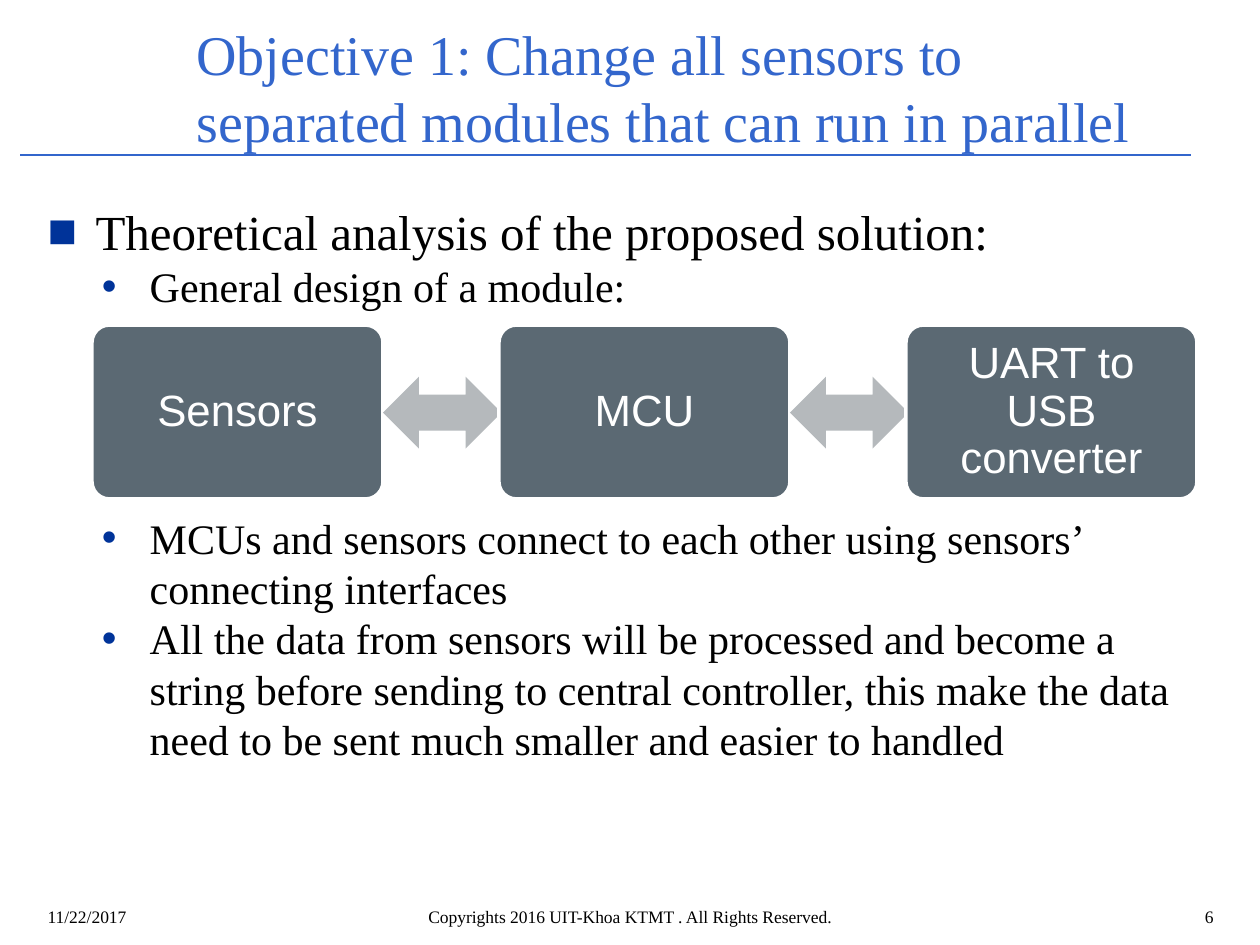
import dataclasses

import pptx
import pptx.dml.color
import pptx.enum.shapes
import pptx.enum.text
import pptx.oxml
import pptx.oxml.ns
import pptx.util

Inches = pptx.util.Inches
Pt = pptx.util.Pt
ALIGN = pptx.enum.text.PP_ALIGN
ANCHOR = pptx.enum.text.MSO_ANCHOR
SHAPE = pptx.enum.shapes.MSO_SHAPE

SERIF, SANS = "Times New Roman", "Arial"
BLUE, NAVY, BLACK, WHITE = "3366CC", "003399", "000000", "FFFFFF"
SLATE, GRAY = "5B6973", "B5B9BC"


@dataclasses.dataclass
class Bullet:
    text: str
    size: int
    char: str
    indent: float
    level: int = 0
    before: float = 0


@dataclasses.dataclass
class Footer:
    text: str
    left: float
    width: float
    align: ALIGN


BULLETS = [
    Bullet("Theoretical analysis of the proposed solution:", 28, "■", 0.38),
    Bullet("General design of a module:", 24, "•", 0.81, 1),
    Bullet("MCUs and sensors connect to each other using sensors’ "
           "connecting interfaces", 24, "•", 0.81, 1, before=115),
    Bullet("All the data from sensors will be processed and become a string "
           "before sending to central controller, this make the data need to "
           "be sent much smaller and easier to handled", 24, "•", 0.81, 1),
]
FOOTERS = [
    Footer("11/22/2017", 0.28, 2.33, ALIGN.LEFT),
    Footer("Copyrights 2016 UIT-Khoa KTMT . All Rights Reserved.",
           1.93, 6.14, ALIGN.CENTER),
    Footer("6", 7.81, 1.92, ALIGN.RIGHT),
]
MODULES = ["Sensors", "MCU", "UART to USB converter"]


def rgb(value: str) -> pptx.dml.color.RGBColor:
    return pptx.dml.color.RGBColor.from_string(value)


def apply(target, values: dict) -> None:
    for name, value in values.items():
        setattr(target, name, value)


def add_run(p, text: str, size: float, font: str, color: str) -> None:
    r = p.add_run()
    r.text = text
    apply(r.font, {"size": Pt(size), "name": font})
    r.font.color.rgb = rgb(color)


def add_textbox(s, left: float, top: float, width: float, height: float):
    sp = s.shapes.add_textbox(*map(Inches, (left, top, width, height)))
    sp.text_frame.word_wrap = True
    return sp.text_frame


def set_bullet(p, b: Bullet) -> None:
    pPr = p._p.get_or_add_pPr()
    pPr.set("marL", str(Inches(b.indent)))
    pPr.set("indent", str(Inches(-0.38)))
    ns = pptx.oxml.ns.nsdecls("a")
    for xml in (f'<a:buClr {ns}><a:srgbClr val="{NAVY}"/></a:buClr>',
                f'<a:buFont {ns} typeface="{SANS}"/>',
                f'<a:buChar {ns} char="{b.char}"/>'):
        pPr.append(pptx.oxml.parse_xml(xml))


def add_shape(s, kind, left: float, top: float, width: float, height: float,
              fill: str):
    sp = s.shapes.add_shape(kind, *map(Inches, (left, top, width, height)))
    sp.shadow.inherit = False
    sp.fill.solid()
    sp.fill.fore_color.rgb = rgb(fill)
    sp.line.fill.background()
    return sp


def add_module(s, text: str, left: float) -> None:
    sp = add_shape(s, SHAPE.ROUNDED_RECTANGLE, left, 2.58, 2.31, 1.38, SLATE)
    sp.adjustments[0] = 0.1
    sp.line.color.rgb = rgb(WHITE)
    sp.line.width = Pt(2)
    tf = sp.text_frame
    margins = ("margin_left", "margin_right", "margin_top", "margin_bottom")
    apply(tf, {"word_wrap": True, "vertical_anchor": ANCHOR.MIDDLE,
               **dict.fromkeys(margins, Inches(0.1))})
    p = tf.paragraphs[0]
    apply(p, {"alignment": ALIGN.CENTER, "line_spacing": 0.9})
    add_run(p, text, 25, SANS, WHITE)


def main() -> None:
    prs = pptx.Presentation()
    apply(prs, {"slide_width": Inches(10), "slide_height": Inches(7.5)})
    s = prs.slides.add_slide(prs.slide_layouts[5])

    # Title and rule
    title = s.shapes.title
    apply(title, {"left": Inches(1.46), "top": Inches(0.31),
                  "width": Inches(8.04), "height": Inches(0.76)})
    tf = title.text_frame
    apply(tf, {"word_wrap": True, "vertical_anchor": ANCHOR.MIDDLE,
               "auto_size": pptx.enum.text.MSO_AUTO_SIZE.NONE})
    p = tf.paragraphs[0]
    p.alignment = ALIGN.LEFT
    add_run(p, "Objective 1: Change all sensors to separated modules "
               "that can run in parallel", 32, SERIF, BLUE)
    rule = s.shapes.add_connector(
        pptx.enum.shapes.MSO_CONNECTOR.STRAIGHT,
        *map(Inches, (0.16, 1.23, 9.45, 1.23)))
    rule.line.color.rgb = rgb(BLUE)
    rule.line.width = Pt(0.75)
    rule._element.spPr.append(pptx.oxml.parse_xml(
        f'<a:effectLst {pptx.oxml.ns.nsdecls("a")}/>'))

    # Bulleted body, with room for the diagram
    tf = add_textbox(s, 0.28, 1.55, 9.45, 5.28)
    for i, b in enumerate(BULLETS):
        p = tf.add_paragraph() if i else tf.paragraphs[0]
        apply(p, {"level": b.level, "space_before": Pt(b.before)})
        set_bullet(p, b)
        add_run(p, b.text, b.size, SERIF, BLACK)

    # Footer
    for f in FOOTERS:
        p = add_textbox(s, f.left, 7.14, f.width, 0.32).paragraphs[0]
        p.alignment = f.align
        add_run(p, f.text, 10, SERIF, BLACK)

    # Module diagram: each box overlaps the tip of the arrow before it
    for i, text in enumerate(MODULES):
        left = 0.73 + 3.23 * i
        add_module(s, text, left)
        if i < len(MODULES) - 1:
            add_shape(s, SHAPE.LEFT_RIGHT_ARROW, left + 2.31, 2.99, 0.94, 0.57,
                      GRAY)

    prs.save("out.pptx")


if __name__ == "__main__":
    main()
